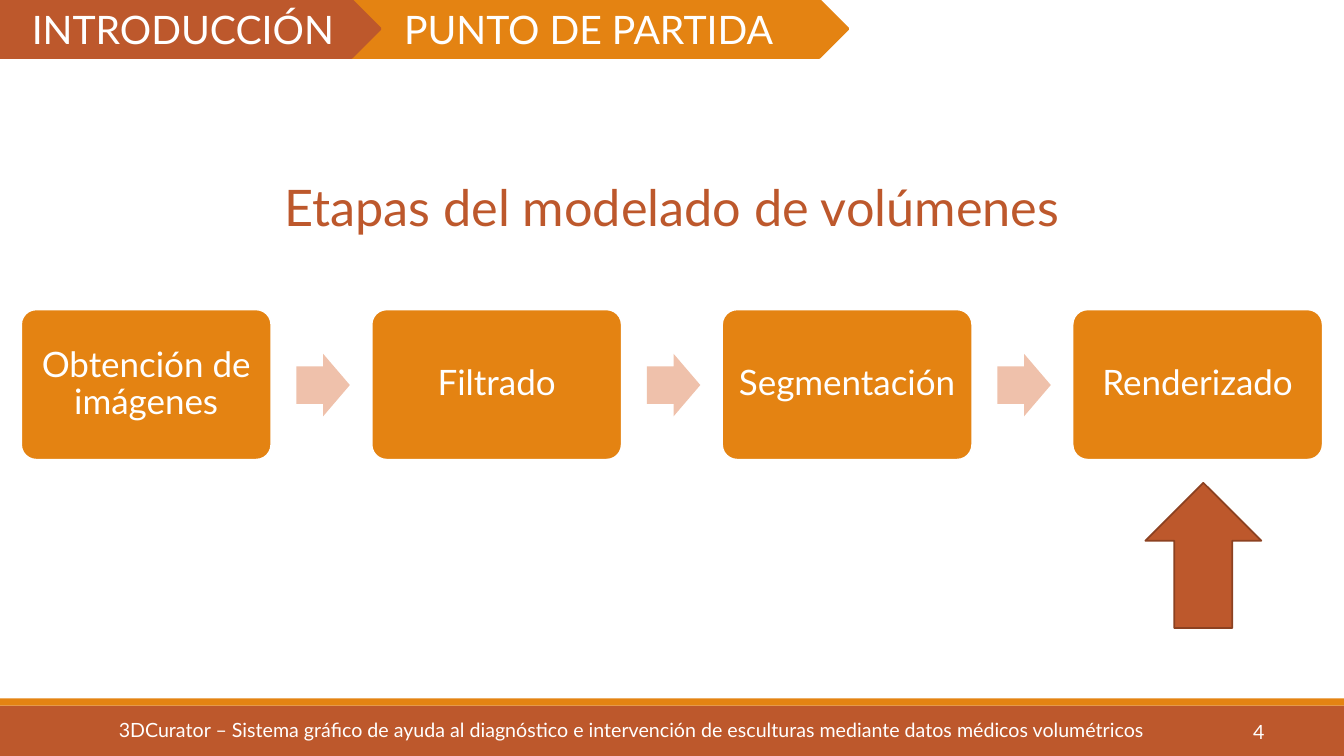
from pptx import Presentation
from pptx.dml.color import RGBColor
from pptx.enum.shapes import MSO_SHAPE
from pptx.enum.text import MSO_ANCHOR, PP_ALIGN
from pptx.util import Inches, Pt

RECTANGLE = MSO_SHAPE.RECTANGLE
ROUNDED = MSO_SHAPE.ROUNDED_RECTANGLE
PENTAGON = MSO_SHAPE.PENTAGON
RIGHT_ARROW = MSO_SHAPE.RIGHT_ARROW
UP_ARROW = MSO_SHAPE.UP_ARROW
LEFT, CENTER, RIGHT = PP_ALIGN.LEFT, PP_ALIGN.CENTER, PP_ALIGN.RIGHT
TOP, MIDDLE = MSO_ANCHOR.TOP, MSO_ANCHOR.MIDDLE

FONT = "Lato"
RUST, ORANGE, PEACH = "BD582C", "E48312", "EFC1AB"
WHITE, BROWN = "FFFFFF", "8C4121"
STAGES = ["Obtención de imágenes", "Filtrado", "Segmentación", "Renderizado"]
STAGE_LEFT, STAGE_STEP, ARROW_OFFSET = 0.21, 3.476, 2.73


def color(value):
    return RGBColor.from_string(value)


def write(box, text, size, ink=WHITE, align=CENTER, anchor=TOP):
    frame = box.text_frame
    frame.word_wrap = True
    frame.vertical_anchor = anchor
    frame.text = text
    para = frame.paragraphs[0]
    para.alignment = align
    span = para.runs[0]
    span.font.name = FONT
    span.font.size = Pt(size)
    span.font.color.rgb = color(ink)


def add_shape(page, kind, place, fill, line=None, width=1.25):
    shape = page.shapes.add_shape(kind, *map(Inches, place))
    shape.shadow.inherit = False
    shape.fill.solid()
    shape.fill.fore_color.rgb = color(fill)
    if line:
        shape.line.color.rgb = color(line)
        shape.line.width = Pt(width)
    else:
        shape.line.fill.background()
    return shape


def add_label(page, place, text, size, **style):
    box = page.shapes.add_textbox(*map(Inches, place))
    write(box, text, size, **style)


def add_tab(page, left, width, text, fill):
    tab = add_shape(page, PENTAGON, (left, 0, width, 0.57), fill, fill, 2)
    write(tab, text, 28)


def add_stage(page, left, text):
    stage = add_shape(page, ROUNDED, (left, 3.07, 2.48, 1.49), ORANGE, WHITE)
    stage.adjustments[0] = 0.1
    write(stage, text, 25, anchor=MIDDLE)
    stage.text_frame.paragraphs[0].line_spacing = 0.9
    frame = stage.text_frame
    frame.margin_left = frame.margin_right = Inches(0.1)
    frame.margin_top = frame.margin_bottom = Inches(0.1)


def add_stage_arrow(page, left):
    arrow = add_shape(page, RIGHT_ARROW, (left, 3.51, 0.53, 0.62), PEACH)
    arrow.adjustments[0] = 0.6
    arrow.adjustments[1] = 0.5


def add_footer(page):
    add_shape(page, RECTANGLE, (0, 7, 13.33, 0.5), RUST)
    add_shape(page, RECTANGLE, (0, 6.93, 13.33, 0.07), ORANGE)
    add_label(page, (11.21, 7.06, 1.43, 0.4), "4", 14, align=RIGHT, anchor=MIDDLE)
    add_label(
        page,
        (1.08, 7.07, 11.17, 0.34),
        "3DCurator – Sistema gráfico de ayuda al diagnóstico e intervención "
        "de esculturas mediante datos médicos volumétricos",
        14,
        align=LEFT,
    )


def main():
    deck = Presentation()
    deck.slide_width, deck.slide_height = Inches(13.33), Inches(7.5)
    page = deck.slides.add_slide(deck.slide_layouts[6])

    add_footer(page)
    add_tab(page, 3.41, 5, "PUNTO DE PARTIDA", ORANGE)
    add_tab(page, 0, 3.77, "INTRODUCCIÓN", RUST)

    for index, stage in enumerate(STAGES):
        left = STAGE_LEFT + index * STAGE_STEP
        add_stage(page, left, stage)
        if index < len(STAGES) - 1:
            add_stage_arrow(page, left + ARROW_OFFSET)

    add_label(page, (0, 1.7, 13.33, 0.71), "Etapas del modelado de volúmenes", 36, ink=RUST)
    add_shape(page, UP_ARROW, (11.36, 4.79, 1.15, 1.44), RUST, BROWN)

    deck.save("out.pptx")


if __name__ == "__main__":
    main()
